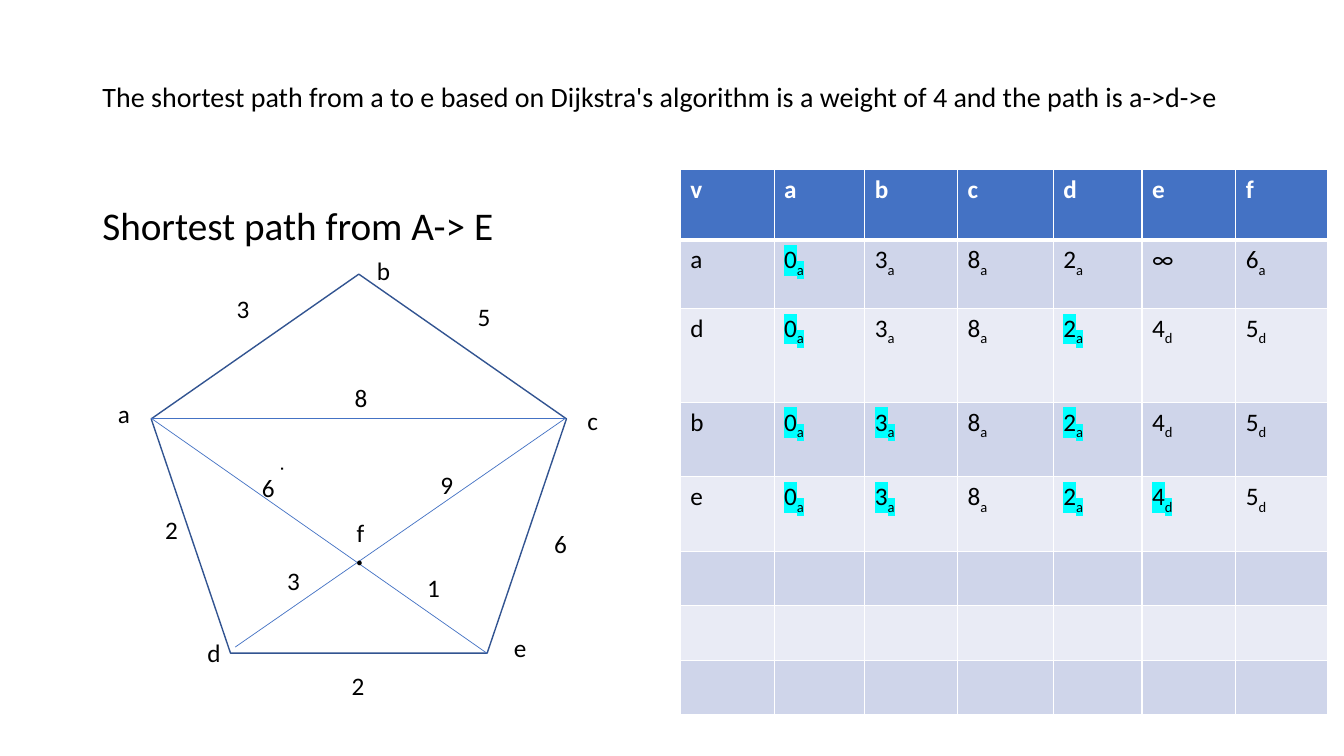
import pptx
import pptx.dml.color
import pptx.enum.shapes
import pptx.enum.text
import pptx.oxml
import pptx.oxml.ns
import pptx.util

SHAPE = pptx.enum.shapes.MSO_SHAPE
ANCHOR = pptx.enum.text.MSO_ANCHOR
BLACK, WHITE, CYAN = "000000", "FFFFFF", "00FFFF"
BLUE, DARK_BLUE = "4472C4", "325491"
BANDS = ("CFD5EA", "E9EBF5")
A_NS = pptx.oxml.ns.nsdecls("a")


def color(hex_value):
    return pptx.dml.color.RGBColor.from_string(hex_value)


def cells(count):
    """Length of a number of grid cells: the slide is 40 by 22.5 square cells."""
    return pptx.util.Inches(count / 3)


class GraphSlide:
    font_name = "Calibri"
    label_size = 18

    def __init__(self, deck):
        self.slide = deck.slides.add_slide(deck.slide_layouts[5])
        self.shapes = self.slide.shapes

    def run(self, paragraph, text, size=label_size, ink=BLACK, bold=False,
            highlight=None, subscript=False):
        run = paragraph.add_run()
        run.text = text
        run.font.name = self.font_name
        run.font.size = pptx.util.Pt(size)
        run.font.bold = bold
        run.font.color.rgb = color(ink)
        properties = run._r.get_or_add_rPr()
        if subscript:
            properties.set("baseline", "-25000")
        if highlight:
            marker = pptx.oxml.parse_xml(
                f'<a:highlight {A_NS}><a:srgbClr val="{highlight}"/></a:highlight>')
            properties.find(pptx.oxml.ns.qn("a:solidFill")).addnext(marker)

    def title(self, text, left, top, width, height, size):
        title = self.shapes.title
        title.left, title.top = cells(left), cells(top)
        title.width, title.height = cells(width), cells(height)
        frame = title.text_frame
        frame.auto_size = pptx.enum.text.MSO_AUTO_SIZE.NONE
        frame.vertical_anchor = ANCHOR.MIDDLE
        frame.margin_bottom = cells(1.05)
        paragraph = frame.paragraphs[0]
        paragraph.alignment = pptx.enum.text.PP_ALIGN.LEFT
        paragraph.line_spacing = 0.9
        self.run(paragraph, text, size)

    def text(self, text, left, top, width=3, height=1.2, size=label_size,
             wrap=True, spacing=1.0):
        box = self.shapes.add_textbox(cells(left), cells(top), cells(width), cells(height))
        box.text_frame.word_wrap = wrap
        paragraph = box.text_frame.paragraphs[0]
        paragraph.line_spacing = spacing
        self.run(paragraph, text, size)

    def shape(self, kind, left, top, width, height, outline=None, fill=None):
        shape = self.shapes.add_shape(
            kind, cells(left), cells(top), cells(width), cells(height))
        shape.shadow.inherit = False
        if fill:
            shape.fill.solid()
            shape.fill.fore_color.rgb = color(fill)
        else:
            shape.fill.background()
        if outline:
            shape.line.color.rgb = color(outline)
            shape.line.width = pptx.util.Pt(1)
        else:
            shape.line.fill.background()

    def edge(self, start, end):
        edge = self.shapes.add_connector(
            pptx.enum.shapes.MSO_CONNECTOR.STRAIGHT, *map(cells, start + end))
        edge.line.color.rgb = color(BLUE)
        edge.line.width = pptx.util.Pt(0.5)
        edge._element.spPr.append(pptx.oxml.parse_xml(f"<a:effectLst {A_NS}/>"))

    def table(self, left, top, widths, heights):
        frame = self.shapes.add_table(
            len(heights), len(widths), cells(left), cells(top),
            cells(sum(widths)), cells(sum(heights)))
        for column, width in zip(frame.table.columns, widths):
            column.width = cells(width)
        for row, height in zip(frame.table.rows, heights):
            row.height = cells(height)
        return frame.table

    def style_cell(self, cell, fill, top_rule=1, bottom_rule=1):
        cell.fill.solid()
        cell.fill.fore_color.rgb = color(fill)
        rules = {"lnL": 1, "lnR": 1, "lnT": top_rule, "lnB": bottom_rule}
        for position, (side, points) in enumerate(rules.items()):
            cell._tc.get_or_add_tcPr().insert(position, pptx.oxml.parse_xml(
                f'<a:{side} {A_NS} w="{pptx.util.Pt(points)}"><a:solidFill>'
                f'<a:srgbClr val="{WHITE}"/></a:solidFill></a:{side}>'))


def draw_graph(page):
    # Outer edges and diagonals
    page.shape(SHAPE.REGULAR_PENTAGON, 4.5, 8.16, 12.36, 11.28, outline=DARK_BLUE)
    a, c, d, e = (4.5, 12.45), (16.83, 12.45), (7, 19.26), (14.49, 19.44)
    for start, end in ((a, e), (d, c), (a, c)):
        page.edge(start, end)

    # Centre vertex and stray ink dot
    page.text(".", 10.26, 15.51, 0.9, 1.71, size=28, wrap=False)
    page.shape(SHAPE.RECTANGLE, 8.37, 13.92, 0.06, 0.06, fill=BLACK)

    # Vertex names
    vertices = (("a", 3.21, 11.7, 1.26), ("b", 10.92, 7.44, 3),
                ("c", 17.19, 11.91, 0.75), ("d", 5.88, 18.81, 3),
                ("e", 15, 18.66, 1.35), ("f", 10.32, 15.24, 3))
    for vertex in vertices:
        page.text(*vertex)

    # Edge weights
    weights = (("3", 6.75, 8.58), ("5", 13.92, 8.82), ("8", 10.26, 11.22),
               ("2", 4.62, 15.15), ("6", 16.2, 15.57), ("2", 10.17, 19.8),
               ("6", 7.5, 13.92), ("9", 12.81, 13.83), ("3", 8.25, 16.68),
               ("1", 12.42, 16.89))
    for weight in weights:
        page.text(*weight)


def draw_distances(page):
    header = "vabcdef"
    # Each step: visited vertex, then distance and predecessor per vertex
    steps = (("a", "0a 3a 8a 2a ∞ 6a"), ("d", "0a 3a 8a 2a 4d 5d"),
             ("b", "0a 3a 8a 2a 4d 5d"), ("e", "0a 3a 8a 2a 4d 5d"))
    table = page.table(20.25, 5.04, (2.79, 2.7, 2.76, 2.85, 2.64, 2.79, 2.73),
                       (2.1, 2.04, 2.79, 2.22, 2.22, 1.62, 1.62, 1.62))

    # Fills and rules
    for row in range(len(table.rows)):
        for column in range(len(header)):
            fill = BANDS[(row - 1) % 2] if row else BLUE
            page.style_cell(table.cell(row, column), fill,
                            top_rule=3 if row == 1 else 1,
                            bottom_rule=1 if row else 3)

    # Header
    for column, name in enumerate(header):
        paragraph = table.cell(0, column).text_frame.paragraphs[0]
        page.run(paragraph, name, ink=WHITE, bold=True)

    # Distances, with every vertex visited so far highlighted
    settled = set()
    for row, (visited, distances) in enumerate(steps, 1):
        settled.add(visited)
        page.run(table.cell(row, 0).text_frame.paragraphs[0], visited)
        for column, entry in enumerate(distances.split(), 1):
            paragraph = table.cell(row, column).text_frame.paragraphs[0]
            highlight = CYAN if header[column] in settled else None
            page.run(paragraph, entry[0], highlight=highlight)
            if entry[1:]:
                page.run(paragraph, entry[1:], highlight=highlight, subscript=True)


def main():
    deck = pptx.Presentation()
    deck.slide_width, deck.slide_height = cells(40), cells(22.5)
    page = GraphSlide(deck)
    page.title("The shortest path from a to e based on Dijkstra's algorithm "
               "is a weight of 4 and the path is a->d->e", 2.75, 1.2, 34.5, 4.35, 20)
    page.text("Shortest path from A-> E", 2.75, 6, 17, 1.8, size=28, spacing=0.9)
    draw_distances(page)
    draw_graph(page)
    deck.save("out.pptx")


if __name__ == "__main__":
    main()
